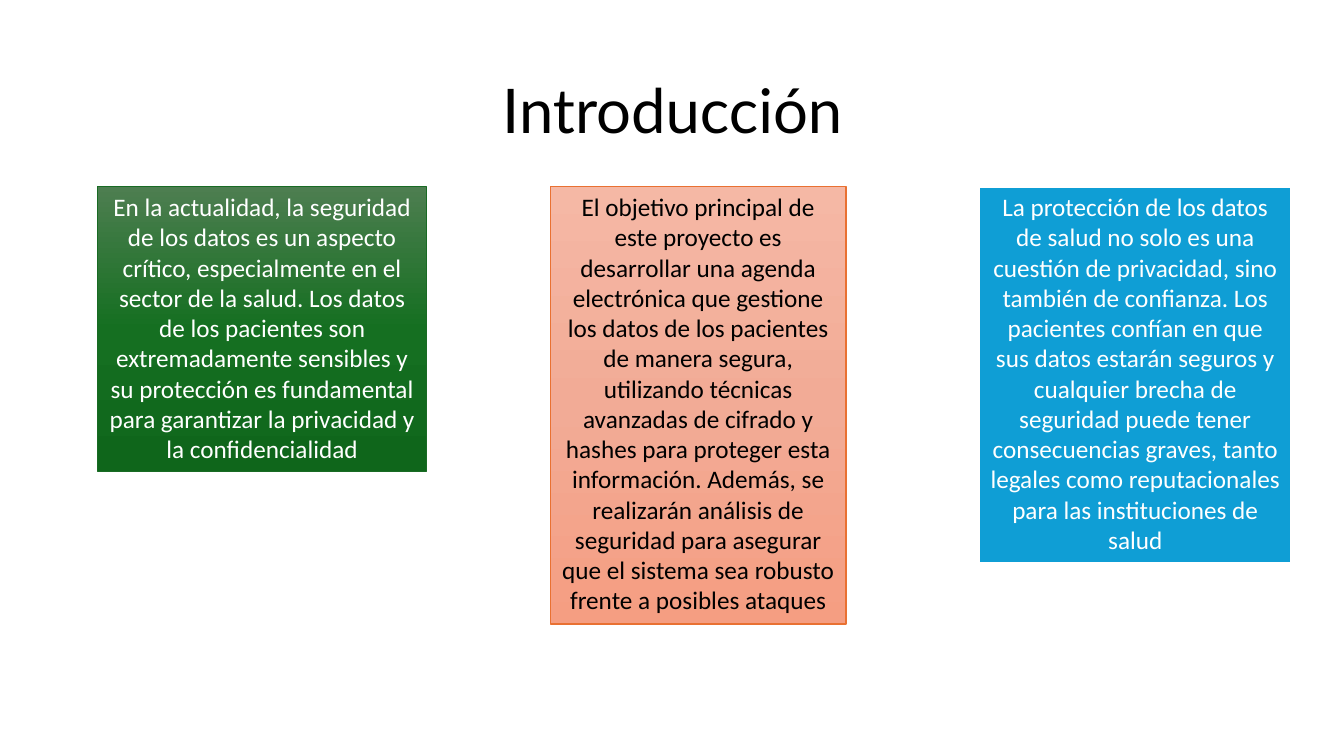
from copy import deepcopy

from pptx import Presentation
from pptx.dml.color import RGBColor
from pptx.enum.shapes import MSO_SHAPE
from pptx.enum.text import MSO_ANCHOR, MSO_AUTO_SIZE, PP_ALIGN
from pptx.oxml.ns import qn
from pptx.util import Inches, Pt

BLACK = RGBColor(0x00, 0x00, 0x00)
WHITE = RGBColor(0xFF, 0xFF, 0xFF)
GREEN = RGBColor(0x19, 0x6B, 0x24)
GREENS = [RGBColor(0x4D, 0x7E, 0x50), RGBColor(0x15, 0x6F, 0x21), RGBColor(0x0F, 0x66, 0x1B)]
ORANGE = RGBColor(0xE9, 0x71, 0x32)
ORANGES = [RGBColor(0xF5, 0xB8, 0xA5), RGBColor(0xF2, 0xAB, 0x96), RGBColor(0xF5, 0x9E, 0x82)]
BLUE = RGBColor(0x0F, 0x9E, 0xD5)

CARD_TOP = 1.85


def write(tf, text, font, size, color):
    tf.word_wrap = True
    p = tf.paragraphs[0]
    p.alignment = PP_ALIGN.CENTER
    r = p.add_run()
    r.text = text
    r.font.name = font
    r.font.size = Pt(size)
    r.font.color.rgb = color
    return p


def fill_gradient(sp, colors):
    """Fill from top to bottom with three evenly spaced colours."""
    sp.fill.gradient()
    sp.fill.gradient_angle = 270
    stops = sp._element.spPr.find(qn("a:gradFill")).find(qn("a:gsLst"))
    stops.insert(1, deepcopy(stops[0]))
    for i, (stop, color) in enumerate(zip(sp.fill.gradient_stops, colors)):
        stop.position = i / 2
        stop.color.rgb = color


prs = Presentation()
prs.slide_width = Inches(13.33)
prs.slide_height = Inches(7.5)
s = prs.slides.add_slide(prs.slide_layouts[6])

# Title
title = s.shapes.add_textbox(Inches(0.92), Inches(0.4), Inches(11.5), Inches(1.45))
title.text_frame.vertical_anchor = MSO_ANCHOR.MIDDLE
p = write(title.text_frame, "Introducción", "Lato", 44, BLACK)
p.line_spacing = 0.9

# Cards: left, width, height, fill colours, line colour, line width, text colour, text
cards = [
    (0.97, 3.26, 2.83, GREENS, GREEN, 1, WHITE,
     "En la actualidad, la seguridad de los datos es un aspecto crítico, "
     "especialmente en el sector de la salud. Los datos de los pacientes son "
     "extremadamente sensibles y su protección es fundamental para garantizar "
     "la privacidad y la confidencialidad"),
    (5.46, 2.93, 4.34, ORANGES, ORANGE, 1, BLACK,
     "El objetivo principal de este proyecto es desarrollar una agenda "
     "electrónica que gestione los datos de los pacientes de manera segura, "
     "utilizando técnicas avanzadas de cifrado y hashes para proteger esta "
     "información. Además, se realizarán análisis de seguridad para asegurar "
     "que el sistema sea robusto frente a posibles ataques"),
    (9.71, 3.1, 3.74, [BLUE], WHITE, 2, WHITE,
     "La protección de los datos de salud no solo es una cuestión de "
     "privacidad, sino también de confianza. Los pacientes confían en que sus "
     "datos estarán seguros y cualquier brecha de seguridad puede tener "
     "consecuencias graves, tanto legales como reputacionales para las "
     "instituciones de salud"),
]
for left, width, height, fills, line, line_width, color, text in cards:
    sp = s.shapes.add_shape(MSO_SHAPE.RECTANGLE, Inches(left), Inches(CARD_TOP),
                            Inches(width), Inches(height))
    sp.shadow.inherit = False
    if len(fills) > 1:
        fill_gradient(sp, fills)
    else:
        sp.fill.solid()
        sp.fill.fore_color.rgb = fills[0]
    sp.line.color.rgb = line
    sp.line.width = Pt(line_width)
    tf = sp.text_frame
    tf.auto_size = MSO_AUTO_SIZE.SHAPE_TO_FIT_TEXT
    tf.vertical_anchor = MSO_ANCHOR.TOP
    write(tf, text, "Calibri", 18, color)

prs.save("out.pptx")
